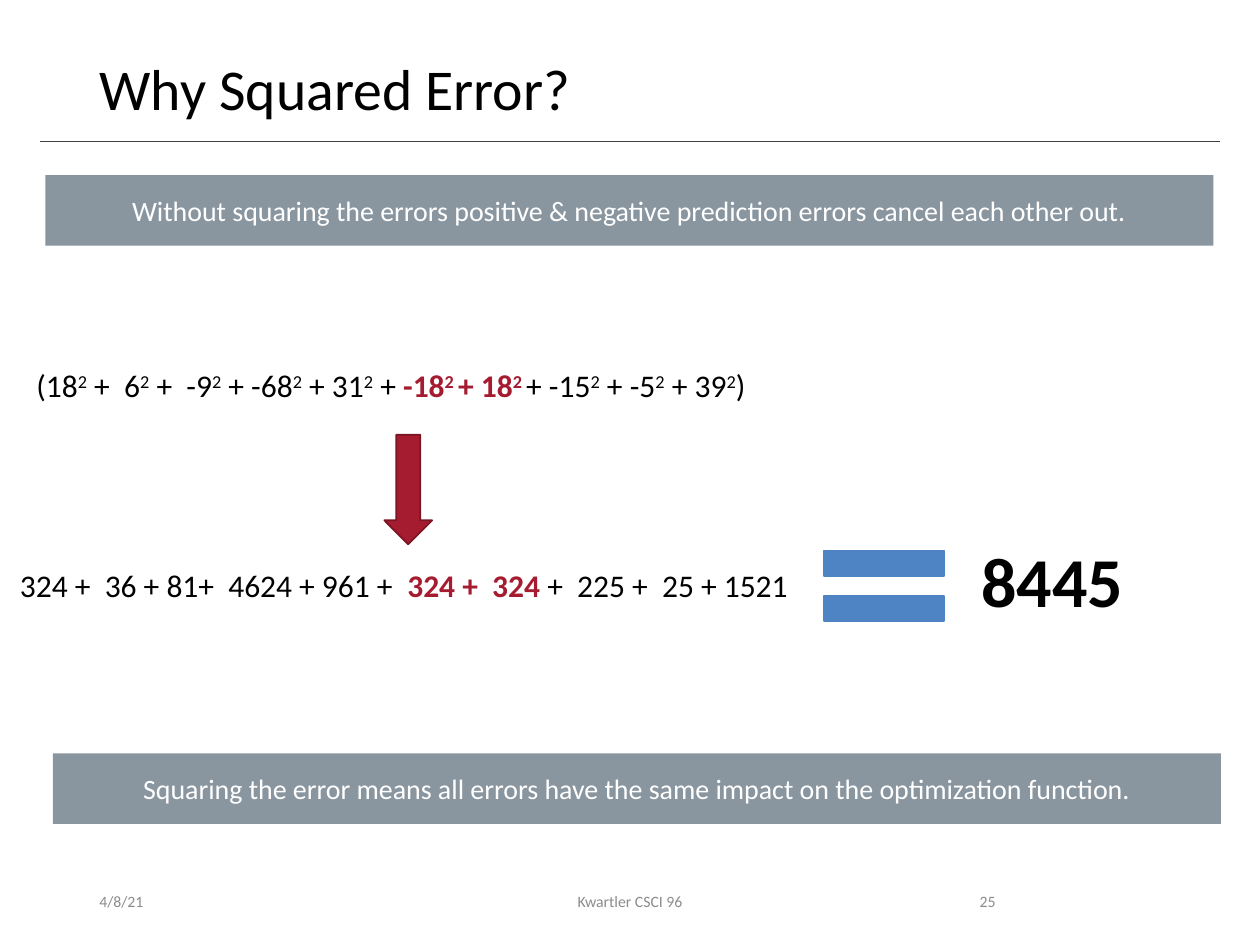
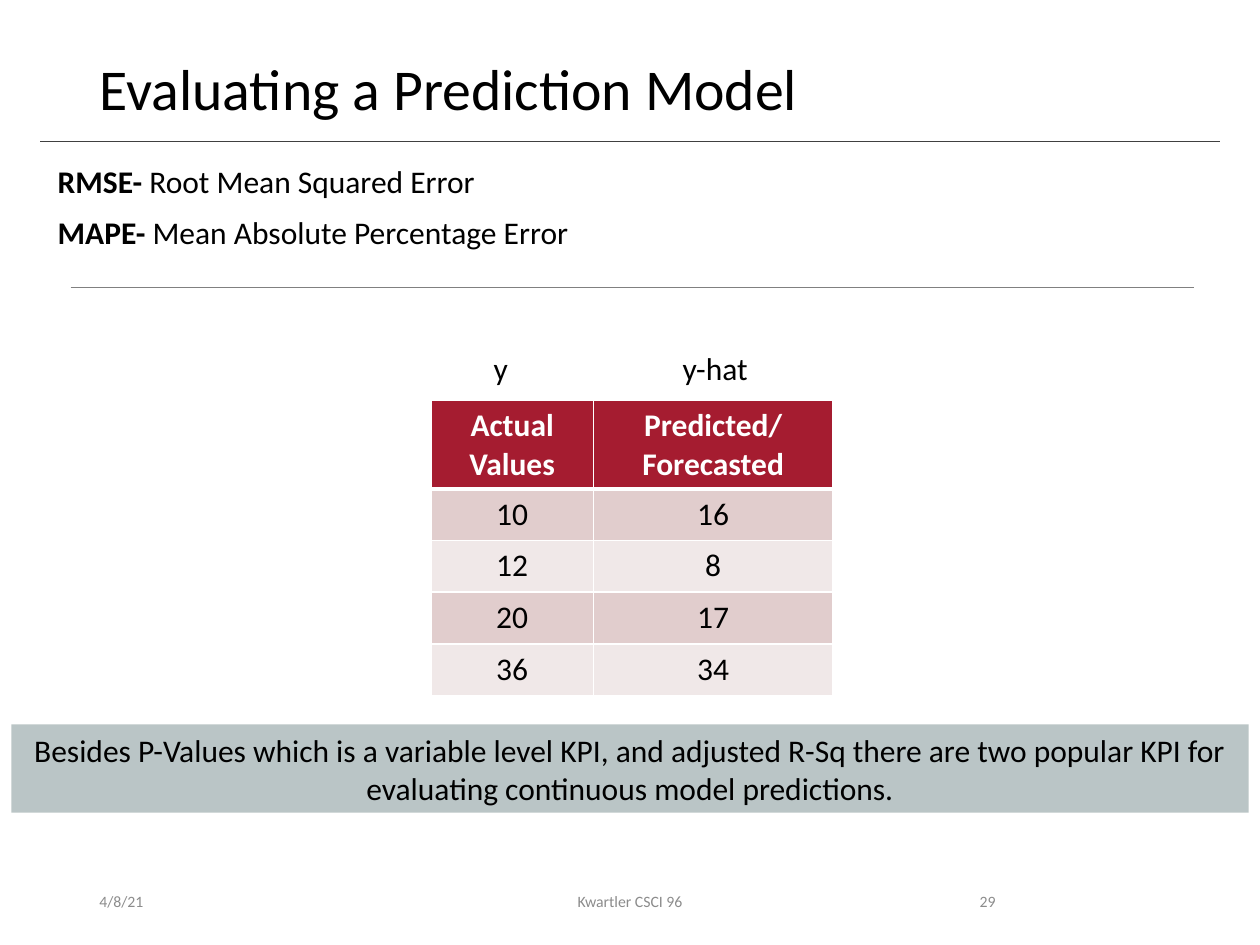
from pptx import Presentation
from pptx.util import Inches, Pt
from pptx.dml.color import RGBColor
from pptx.enum.shapes import MSO_SHAPE as Shape, MSO_CONNECTOR as Link
from pptx.enum.text import PP_ALIGN as Align, MSO_ANCHOR as Anchor, MSO_AUTO_SIZE as Auto
from pptx.oxml import parse_xml
from pptx.oxml.ns import nsdecls, qn
from lxml import etree

FONT = "Calibri"
RED, DARK, BLUE = "A51C30", "7A1524", "4E84C4"
SLATE, MIST = "8996A0", "BAC5C6"
BLACK, WHITE, GREY = "000000", "FFFFFF", "8C8C8C"
rgb = RGBColor.from_string


def write(shape, parts, size, color=BLACK, align=Align.LEFT, wrap=True):
    """Fill a shape with (text, bold, colour) parts; every second piece around | is raised."""
    frame = shape.text_frame
    frame.word_wrap = wrap
    frame.auto_size = Auto.NONE if wrap else Auto.SHAPE_TO_FIT_TEXT
    frame.vertical_anchor = Anchor.MIDDLE if wrap else Anchor.TOP
    para = frame.paragraphs[0]
    para.alignment = align
    para.font.name, para.font.size = FONT, Pt(size)
    para.font.color.rgb = rgb(color)
    if isinstance(parts, str):
        parts = [(parts, False, color)]
    for text, bold, tint in parts:
        for i, piece in enumerate(text.split("|")):
            if not piece:
                continue
            run = para.add_run()
            run.text = piece
            if bold:
                run.font.bold = True
            if tint != color:
                run.font.color.rgb = rgb(tint)
            if i % 2:
                run._r.get_or_add_rPr().set("baseline", "30000")
    return para


def block(slide, kind, box, fill, edge=None):
    """Add a flat filled shape."""
    shape = slide.shapes.add_shape(kind, *map(Inches, box))
    shape.shadow.inherit = False
    shape.fill.solid()
    shape.fill.fore_color.rgb = rgb(fill)
    if edge:
        shape.line.color.rgb = rgb(edge)
        shape.line.width = Pt(1)
    else:
        shape.line.fill.background()
    return shape


deck = Presentation()
deck.slide_width, deck.slide_height = Inches(10), Inches(7.5)

# Both slides: title, rules, footer, bands and loose text
pages = [
    dict(
        title="Why Squared Error?", page="25",
        rules=[(0.32, 9.68, 1.12, "404040")],
        bands=[
            ((0.36, 1.39, 9.27, 0.56), SLATE, WHITE, 16,
             "Without squaring the errors positive & negative prediction errors cancel each other out."),
            ((0.42, 5.98, 9.27, 0.56), SLATE, WHITE, 16,
             "Squaring the error means all errors have the same impact on the optimization function."),
        ],
        texts=[
            ((0.19, 2.86, 6.11, 0.4), 18, [
                ("(18|2| +  6|2| +  -9|2| + -68|2| + 31|2| + ", False, BLACK),
                ("-18|2 |+ 18|2 ", True, RED),
                ("+ -15|2| + -5|2| + 39|2|)", False, BLACK)]),
            ((0.06, 4.44, 6.38, 0.4), 18, [
                ("324 +  36 + 81+  4624 + 961 +  ", False, BLACK),
                ("324 +  324 ", True, RED),
                ("+  225 +  25 + 1521", False, BLACK)]),
            ((7.69, 4.22, 1.34, 0.77), 40, [("8445", True, BLACK)]),
        ]),
    dict(
        title="Evaluating a Prediction Model", page="29",
        rules=[(0.32, 9.68, 1.12, "404040"), (0.56, 9.48, 2.28, "808080")],
        bands=[
            ((0.09, 5.75, 9.82, 0.7), MIST, BLACK, 18,
             "Besides P-Values which is a variable level KPI, and adjusted R-Sq "
             "there are two popular KPI for evaluating continuous model predictions."),
        ],
        texts=[
            ((0.36, 1.24, 3.56, 0.4), 18, [
                ("RMSE-", True, BLACK), (" Root Mean Squared Error", False, BLACK)]),
            ((0.36, 1.64, 4.3, 0.4), 18, [
                ("MAPE-", True, BLACK), (" Mean Absolute Percentage Error", False, BLACK)]),
            ((3.82, 2.72, 0.32, 0.4), 18, "y"),
            ((5.32, 2.72, 0.73, 0.4), 18, "y-hat"),
        ]),
]

slides = []
for page in pages:
    slide = deck.slides.add_slide(deck.slide_layouts[5])
    slides.append(slide)

    title = slide.shapes.title
    title.left, title.top, title.width, title.height = map(Inches, (0.69, 0.4, 8.62, 0.65))
    write(title, page["title"], 33).line_spacing = 0.9

    for left, right, y, color in page["rules"]:
        rule = slide.shapes.add_connector(
            Link.STRAIGHT, Inches(left), Inches(y), Inches(right), Inches(y))
        rule.line.color.rgb = rgb(color)
        rule.line.width = Pt(0.5)
        etree.SubElement(rule._element.spPr, qn("a:effectLst"))

    for left, width, align, text in [
            (0.69, 2.25, Align.LEFT, "4/8/21"),
            (3.31, 3.38, Align.CENTER, "Kwartler CSCI 96"),
            (7.06, 0.94, Align.RIGHT, page["page"])]:
        foot = slide.shapes.add_textbox(*map(Inches, (left, 6.95, width, 0.4)))
        write(foot, text, 9, GREY, align)

    for box, fill, color, size, text in page["bands"]:
        write(block(slide, Shape.RECTANGLE, box, fill), text, size, color, Align.CENTER)

    for box, size, parts in page["texts"]:
        write(slide.shapes.add_textbox(*map(Inches, box)), parts, size, wrap=False)

why, model = slides

# Equals sign and arrow between the two sums
for top in (4.37, 4.73):
    block(why, Shape.RECTANGLE, (6.54, top, 0.95, 0.2), BLUE, BLUE)
block(why, Shape.DOWN_ARROW, (3.05, 3.45, 0.38, 0.87), RED, DARK)

# Table of actual and predicted values
rows = [("Actual Values", "Predicted/Forecasted"),
        ("10", "16"), ("12", "8"), ("20", "17"), ("36", "34")]
table = model.shapes.add_table(
    len(rows), 2, *map(Inches, (3.42, 3.18, 3.19, 2.03))).table
for col, width in zip(table.columns, (1.29, 1.9)):
    col.width = Inches(width)
for r, row in enumerate(rows):
    table.rows[r].height = Inches(0.41)
    for c, text in enumerate(row):
        cell = table.cell(r, c)
        head = r == 0
        props = cell._tc.get_or_add_tcPr()
        for side in "LRTB":
            thick = (head and side == "B") or (r == 1 and side == "T")
            props.append(parse_xml(
                f'<a:ln{side} {nsdecls("a")} w="{Pt(3 if thick else 1)}"><a:solidFill>'
                f'<a:srgbClr val="{WHITE}"/></a:solidFill></a:ln{side}>'))
        cell.fill.solid()
        cell.fill.fore_color.rgb = rgb(RED if head else "E1CDCD" if r % 2 else "F0E8E8")
        para = cell.text_frame.paragraphs[0]
        para.text = text
        para.alignment = Align.CENTER
        para.font.name, para.font.size, para.font.bold = FONT, Pt(18), head
        para.font.color.rgb = rgb(WHITE if head else BLACK)

deck.save("out.pptx")
